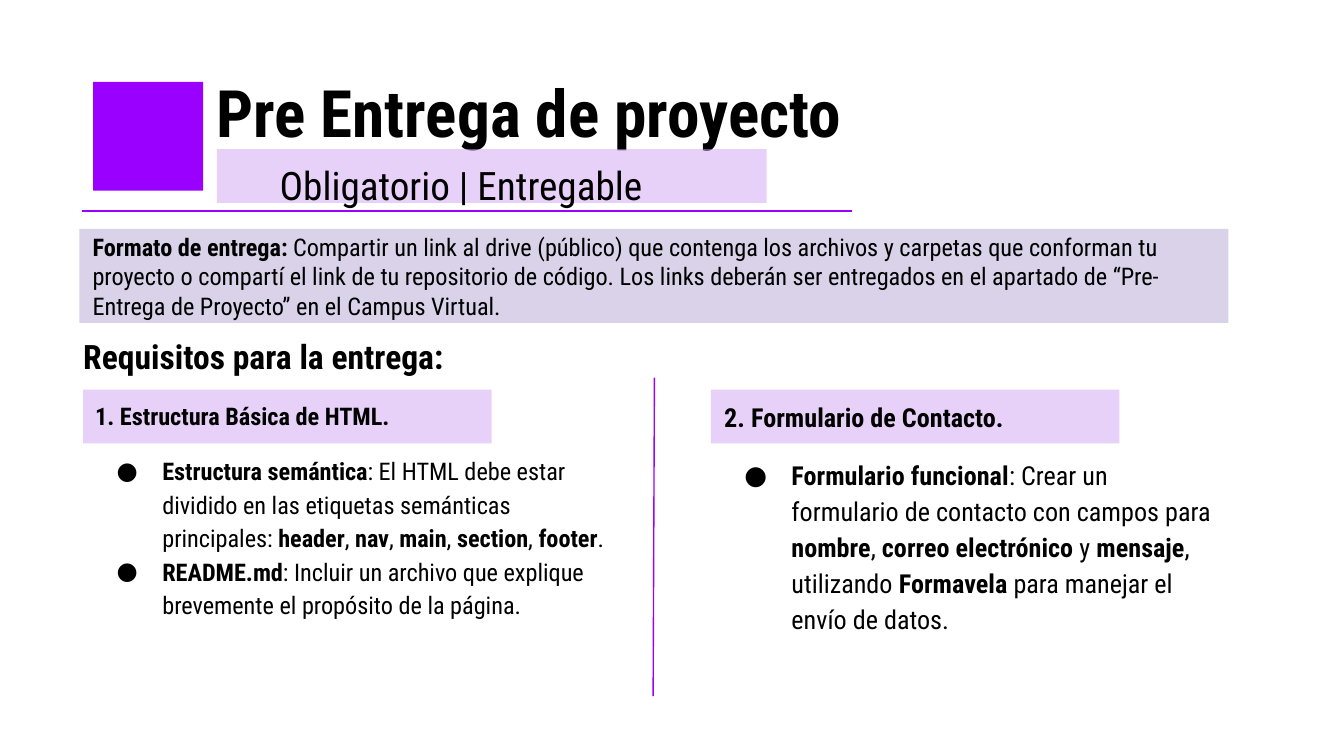
from lxml import etree
from pptx import Presentation
from pptx.dml.color import RGBColor
from pptx.enum.shapes import MSO_CONNECTOR, MSO_SHAPE
from pptx.oxml.ns import qn
from pptx.util import Pt

RECTANGLE = MSO_SHAPE.RECTANGLE
STRAIGHT = MSO_CONNECTOR.STRAIGHT

FONT = "Roboto Condensed"
COLORS = {
    "text": "000000",
    "accent": "9900FF",
    "highlight": "D2A6F4",
    "panel": "D9D2E9",
}
INSET = 7.2
COLUMNS = [
    {
        "label": (44.6, 208.8),
        "box": (43.9, 205.2, 290.9, 195.8),
        "size": 13,
        "hanging": 24.5,
        "heading": "1. Estructura Básica de HTML.",
        "items": [
            "**Estructura semántica**: El HTML debe estar dividido en las etiquetas "
            "semánticas principales: **header**, **nav**, **main**, **section**, **footer**.",
            "**README.md**: Incluir un archivo que explique brevemente el propósito "
            "de la página.",
        ],
    },
    {
        "label": (380.9, 208.8),
        "box": (380.9, 205.2, 280.1, 157.7),
        "size": 14,
        "hanging": 25.2,
        "heading": "2. Formulario de Contacto.",
        "items": [
            "**Formulario funcional**: Crear un formulario de contacto con campos para "
            "**nombre**, **correo electrónico** y **mensaje**, utilizando **Formavela** "
            "para manejar el envío de datos.",
        ],
    },
]


class SlideBuilder:
    """Draws elements on one slide; every length is in points."""

    def __init__(self, slide):
        self.slide = slide

    def color(self, name):
        return RGBColor.from_string(COLORS[name])

    def rectangle(self, left, top, width, height, fill, opacity=100):
        shape = self.slide.shapes.add_shape(
            RECTANGLE, Pt(left), Pt(top), Pt(width), Pt(height))
        shape.shadow.inherit = False
        shape.fill.solid()
        shape.fill.fore_color.rgb = self.color(fill)
        shape.line.fill.background()
        if opacity < 100:
            color_element = shape._element.spPr.find(".//" + qn("a:srgbClr"))
            etree.SubElement(color_element, qn("a:alpha"), val=str(opacity * 1000))

    def line(self, x1, y1, x2, y2):
        connector = self.slide.shapes.add_connector(
            STRAIGHT, Pt(x1), Pt(y1), Pt(x2), Pt(y2))
        connector.line.color.rgb = self.color("accent")
        connector.line.width = Pt(0.75)
        etree.SubElement(connector._element.spPr, qn("a:effectLst"))

    def text(self, left, top, width, height, content, size, inset=0, spacing=1.0):
        """Add a text box; parts of content between ** marks are bold."""
        box = self.slide.shapes.add_textbox(Pt(left), Pt(top), Pt(width), Pt(height))
        frame = box.text_frame
        frame.word_wrap = True
        frame.margin_left = frame.margin_right = Pt(inset)
        frame.margin_top = frame.margin_bottom = Pt(inset)
        self.add_runs(frame.paragraphs[0], content, size, spacing)
        return frame

    def add_runs(self, paragraph, content, size, spacing):
        paragraph.line_spacing = spacing
        for index, part in enumerate(content.split("**")):
            if part:
                run = paragraph.add_run()
                run.text = part
                run.font.name = FONT
                run.font.size = Pt(size)
                run.font.bold = index % 2 == 1
                run.font.color.rgb = self.color("text")

    def bullet(self, frame, content, size, hanging, space_before):
        paragraph = frame.add_paragraph()
        properties = paragraph._p.get_or_add_pPr()
        properties.set("marL", str(Pt(36)))
        properties.set("indent", str(-Pt(hanging)))
        bullet_color = etree.SubElement(properties, qn("a:buClr"))
        etree.SubElement(bullet_color, qn("a:srgbClr"), val=COLORS["text"])
        etree.SubElement(properties, qn("a:buFont"), typeface=FONT)
        etree.SubElement(properties, qn("a:buChar"), char="●")
        paragraph.space_before = Pt(space_before)
        self.add_runs(paragraph, content, size, 1.15)

    def column(self, box, size, hanging, heading, items):
        frame = self.text(*box, f"**{heading}**", size, INSET, 1.15)
        for index, item in enumerate(items):
            self.bullet(frame, item, size, hanging, 12 if index == 0 else 0)


def main():
    presentation = Presentation()
    presentation.slide_width = Pt(720)
    presentation.slide_height = Pt(405)
    slide = presentation.slides.add_slide(presentation.slide_layouts[6])
    builder = SlideBuilder(slide)

    for column in COLUMNS:
        builder.rectangle(*column["label"], 218.9, 28.8, "highlight", 51)
    builder.text(108.7, 31.7, 552.2, 58.3, "**Pre Entrega de proyecto**", 35, INSET)
    builder.line(43.9, 113, 456.5, 113)
    for column in COLUMNS:
        builder.column(column["box"], column["size"], column["hanging"],
                       column["heading"], column["items"])

    builder.rectangle(49.9, 43.9, 59, 58.3, "accent")
    builder.rectangle(116.2, 79.9, 294.5, 28.8, "highlight", 51)
    builder.line(350.6, 202.3, 349.9, 373)
    builder.text(149.8, 81.4, 229.7, 56.2, "Obligatorio | Entregable", 21, spacing=1.2)
    builder.text(44.6, 175.7, 289.4, 21.6, "**Requisitos para la entrega:**", 18,
                 spacing=1.2)

    builder.rectangle(42.5, 122.6, 615.6, 50.4, "panel")
    builder.text(
        42.5, 117.4, 615.6, 61.9,
        "**Formato de entrega:** Compartir un link al drive (público) que contenga los "
        "archivos y carpetas que conforman tu proyecto o compartí el link de tu "
        "repositorio de código. Los links deberán ser entregados en el apartado de "
        "“Pre-Entrega de Proyecto” en el Campus Virtual.", 13, INSET)

    presentation.save("out.pptx")


if __name__ == "__main__":
    main()
